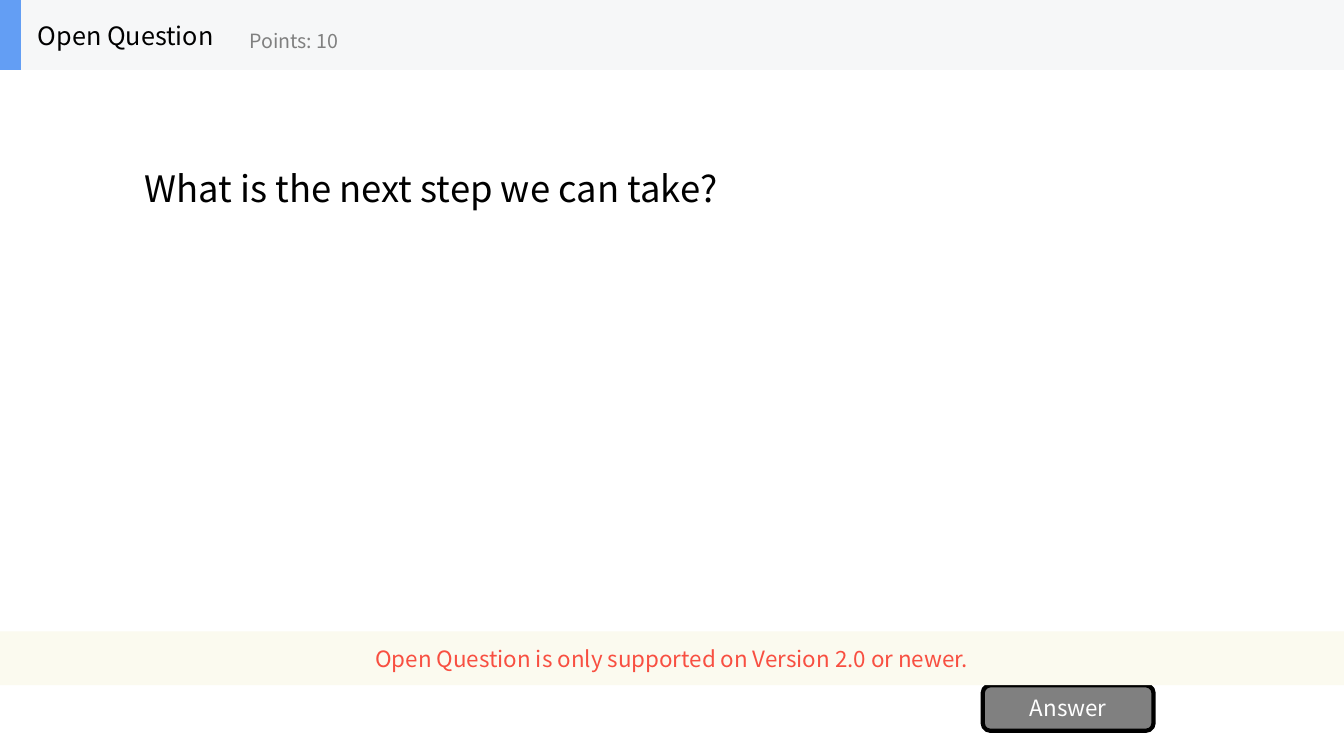
from pptx import Presentation
from pptx.dml.color import RGBColor
from pptx.enum.shapes import MSO_SHAPE as Preset
from pptx.enum.text import MSO_ANCHOR as Anchor, PP_ALIGN as Align
from pptx.util import Pt

# Content
TITLE = "Open Question"
POINTS = "Points: 10"
QUESTION = "What is the next step we can take?"
ANSWER = "Answer"
NOTICE = "Open Question is only supported on Version 2.0 or newer."

THEME = {
    "font": "Noto Sans CJK SC",
    "ink": "000000", "gray": "808080", "white": "FFFFFF",
    "bar": "F6F7F8", "accent": "639EF4",
    "notice": "FBFAEF", "warning": "F84F41",
    "question_size": 26, "title_size": 18, "body_size": 16, "points_size": 14,
}

# Layout, in points: left, top, width, height
WIDTH, HEIGHT, BAR = 960, 540, 50
PLACES = {
    "question": (96, BAR, WIDTH - 2 * 96, 168),
    "answer": (702, 489.5, 122, 32.5),
    "notice": (0, 451, WIDTH, 38.5),
    "bar": (0, 0, WIDTH, BAR),
    "accent": (0, 0, 15, BAR),
    "title": (20, 0, 150, BAR),
    "points": (171, 9, 180, 40),
}


def color(name):
    return RGBColor.from_string(THEME[name])


def place(name):
    return [Pt(length) for length in PLACES[name]]


def write(box, text, size, ink, align=Align.LEFT, wrap=True):
    frame = box.text_frame
    frame.word_wrap = wrap
    frame.vertical_anchor = Anchor.MIDDLE
    para = frame.paragraphs[0]
    para.alignment = align
    span = para.add_run()
    span.text = text
    span.font.color.rgb = color(ink)
    formats = {"name": THEME["font"], "size": Pt(THEME[size])}
    for key, value in formats.items():
        setattr(span.font, key, value)


def add_block(shapes, name, fill, preset=Preset.RECTANGLE):
    block = shapes.add_shape(preset, *place(name))
    block.shadow.inherit = False
    block.fill.solid()
    block.fill.fore_color.rgb = color(fill)
    block.line.fill.background()
    return block


def add_text(shapes, name, *args, **options):
    write(shapes.add_textbox(*place(name)), *args, **options)


def main():
    deck = Presentation()
    deck.slide_width, deck.slide_height = Pt(WIDTH), Pt(HEIGHT)
    page = deck.slides.add_slide(deck.slide_layouts[6])

    # Question
    add_text(page.shapes, "question", QUESTION, "question_size", "ink")

    # Answer button
    button = add_block(page.shapes, "answer", "gray", Preset.ROUNDED_RECTANGLE)
    button.line.color.rgb = color("ink")
    button.line.width = Pt(3)
    write(button, ANSWER, "body_size", "white", Align.CENTER)

    # Version notice
    notice = add_block(page.shapes, "notice", "notice")
    write(notice, NOTICE, "body_size", "warning", Align.CENTER)

    # Header bar
    header = page.shapes.add_group_shape().shapes
    for name in ("bar", "accent"):
        add_block(header, name, name)
    add_text(header, "title", TITLE, "title_size", "ink", wrap=False)
    add_text(header, "points", POINTS, "points_size", "gray", wrap=False)

    deck.save("out.pptx")


if __name__ == "__main__":
    main()
